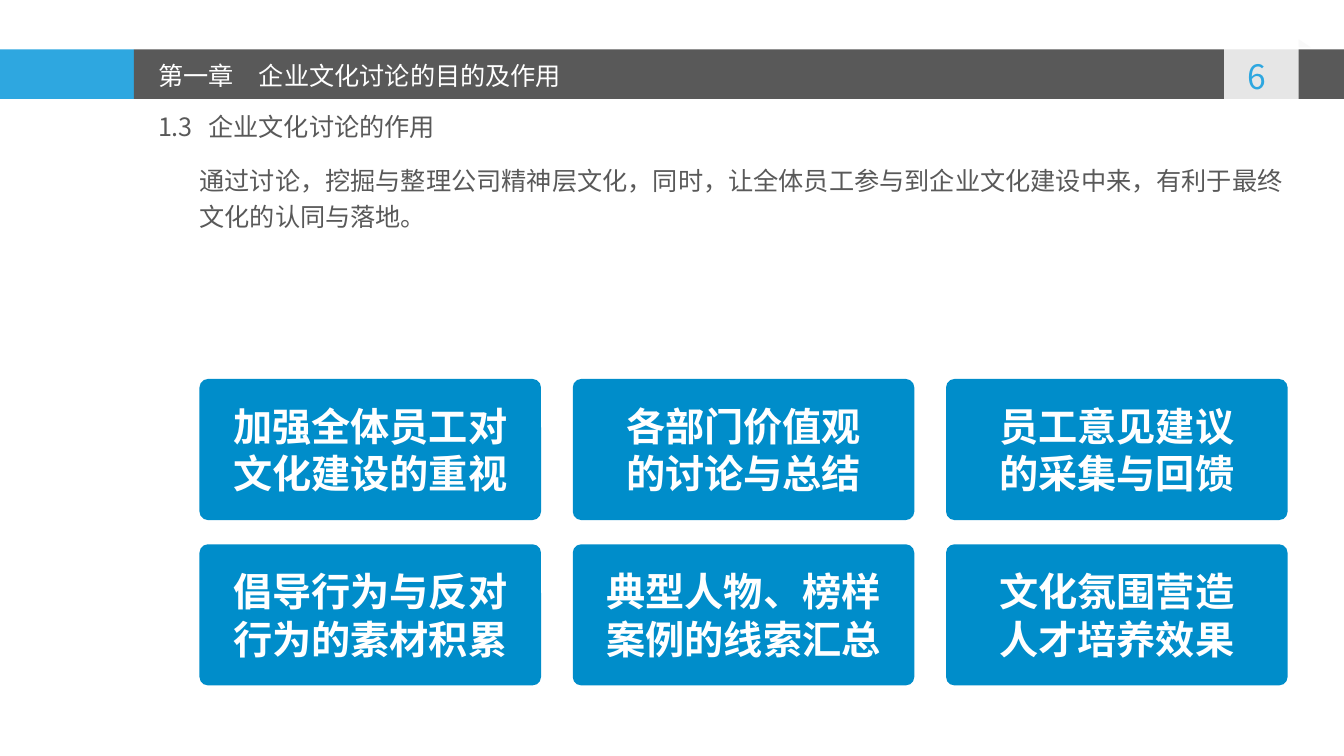
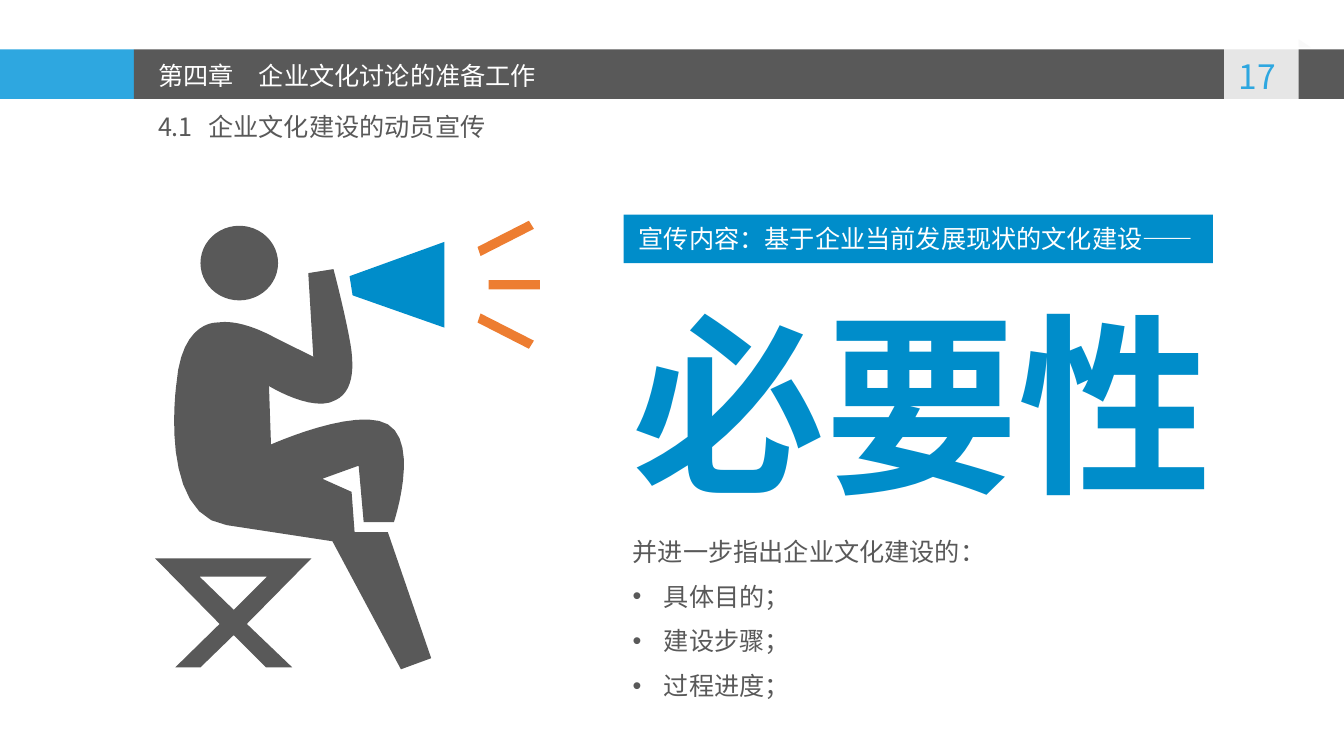
"""Build two training slides about company culture discussions."""
from dataclasses import dataclass
from typing import Any, Optional

import lxml.etree
import pptx
import pptx.dml.color
import pptx.enum.shapes
import pptx.enum.text
import pptx.oxml.ns
import pptx.util

Inches = pptx.util.Inches
Shape = pptx.enum.shapes.MSO_SHAPE
Align = pptx.enum.text.PP_ALIGN
Anchor = pptx.enum.text.MSO_ANCHOR
qn = pptx.oxml.ns.qn
Point = tuple[float, ...]


@dataclass(frozen=True)
class Theme:
    font: str = "Noto Sans CJK SC"
    sky: str = "2EA7E0"
    blue: str = "008DCA"
    gray: str = "595959"
    pale: str = "F8F8F8"
    white: str = "FFFFFF"
    orange: str = "ED7D31"
    text_size: float = 18
    number_size: float = 24
    tile_size: float = 28
    slogan_size: float = 138


@dataclass(frozen=True)
class Area:
    left: float
    top: float
    width: float
    height: float

    def lengths(self) -> tuple[int, ...]:
        return tuple(Inches(v) for v in (self.left, self.top, self.width, self.height))


@dataclass(frozen=True)
class Tile:
    text: str
    line_length: int


@dataclass(frozen=True)
class Heading:
    chapter: str
    section: str
    number: str


THEME = Theme()
BAND_TOP, BAND_HEIGHT = 0.49, 0.49
TILES = (
    Tile("加强全体员工对文化建设的重视", 7),
    Tile("各部门价值观的讨论与总结", 6),
    Tile("员工意见建议的采集与回馈", 6),
    Tile("倡导行为与反对行为的素材积累", 7),
    Tile("典型人物、榜样案例的线索汇总", 7),
    Tile("文化氛围营造\n人才培养效果", 6),
)
STOOL = (
    ((2.32, 6.3), (1.99, 6.62), (1.74, 6.62), (2.18, 6.19), (1.54, 5.54),
     (3.09, 5.54), (2.45, 6.19), (2.9, 6.62), (2.64, 6.62)),
    ((2.65, 5.72), (1.98, 5.72), (2.32, 6.05)),
)
BODY = (
    (1.75, 3.82), (1.8, 3.16, 2.17, 3.2, 2.17, 3.2), (2.17, 3.2, 2.36, 3.15, 2.73, 3.35),
    (3.11, 3.54), (3.06, 2.71), (3.31, 2.67), (3.31, 2.67, 3.42, 3.08, 3.48, 3.42),
    (3.52, 3.67, 3.5, 3.89, 3.33, 3.97), (3.11, 4.1, 2.67, 3.83, 2.67, 3.83),
    (2.69, 4.41), (2.69, 4.41, 3.54, 4.03, 3.85, 4.21), (4.17, 4.4, 3.91, 5.18, 3.91, 5.18),
    (3.61, 5.18), (3.56, 4.62), (3.2, 4.75), (3.49, 4.88), (3.52, 5.28), (3.85, 5.28),
    (4.28, 6.53), (3.98, 6.64), (3.3, 5.37), (2.25, 5.21), (1.57, 5.11, 1.75, 3.82, 1.75, 3.82),
)
MEGAPHONE = ((4.41, 2.4), (4.41, 3.25), (3.5, 2.93), (3.47, 2.74))
RAY = ((5.3, 2.27), (4.77, 2.54), (4.74, 2.45), (5.25, 2.19))
RAY_AXIS = 2.825


def rgb(color: str) -> pptx.dml.color.RGBColor:
    return pptx.dml.color.RGBColor.from_string(color)


def write(box: Any, text: str, *, size: float = THEME.text_size, color: str = THEME.gray,
          bold: bool = False, align: Align = Align.LEFT, anchor: Anchor = Anchor.TOP,
          side: float = 0.1, spacing: float = 1, before: float = 0,
          tab: Optional[float] = None, bullets_from: Optional[int] = None) -> None:
    frame = box.text_frame
    frame.text = text
    frame.word_wrap = True
    frame.auto_size = pptx.enum.text.MSO_AUTO_SIZE.NONE
    frame.vertical_anchor = anchor
    frame.margin_left = frame.margin_right = Inches(side)
    frame.margin_top = frame.margin_bottom = Inches(0.05)
    for index, para in enumerate(frame.paragraphs):
        bulleted = bullets_from is not None and index >= bullets_from
        indent = Inches(0.31) if bulleted else 0
        properties = para._p.get_or_add_pPr()
        properties.set("marL", str(indent))
        properties.set("indent", str(-indent))
        if bulleted:
            lxml.etree.SubElement(properties, qn("a:buChar")).set("char", "•")
        else:
            lxml.etree.SubElement(properties, qn("a:buNone"))
        if tab is not None:
            stops = lxml.etree.SubElement(properties, qn("a:tabLst"))
            stop = lxml.etree.SubElement(stops, qn("a:tab"))
            stop.set("pos", str(Inches(tab)))
            stop.set("algn", "l")
        para.alignment = align
        para.line_spacing = spacing
        para.space_before = pptx.util.Pt(before if index else 0)
        para.space_after = pptx.util.Pt(0)
        for span in para.runs:
            span.font.name = THEME.font
            span.font.size = pptx.util.Pt(size)
            span.font.bold = bold
            span.font.color.rgb = rgb(color)
            east_asian = lxml.etree.SubElement(span._r.get_or_add_rPr(), qn("a:ea"))
            east_asian.set("typeface", THEME.font)


def add_text(page: Any, area: Area, text: str, **style: Any) -> None:
    write(page.shapes.add_textbox(*area.lengths()), text, **style)


def fill_placeholder(box: Any, area: Area, text: str, **style: Any) -> None:
    box.left, box.top, box.width, box.height = area.lengths()
    write(box, text, **style)


def paint(shape: Any, color: str, opacity: int = 100) -> Any:
    shape.shadow.inherit = False
    shape.fill.solid()
    shape.fill.fore_color.rgb = rgb(color)
    shape.line.fill.background()
    if opacity < 100:
        tint = next(shape.element.spPr.iter(qn("a:srgbClr")))
        lxml.etree.SubElement(tint, qn("a:alpha")).set("val", str(opacity * 1000))
    return shape


def add_block(page: Any, kind: Shape, area: Area, color: str, opacity: int = 100) -> Any:
    return paint(page.shapes.add_shape(kind, *area.lengths()), color, opacity)


def flatten(outline: tuple[Point, ...], steps: int = 12) -> list[tuple[int, int]]:
    """Turn corner points and cubic curves into a list of corner points."""
    points = [outline[0]]
    for piece in outline[1:]:
        if len(piece) == 2:
            points.append(piece)
            continue
        nodes = (points[-1], piece[:2], piece[2:4], piece[4:])
        for step in range(1, steps + 1):
            t = step / steps
            weights = ((1 - t) ** 3, 3 * t * (1 - t) ** 2, 3 * t * t * (1 - t), t ** 3)
            points.append(tuple(sum(w * node[axis] for w, node in zip(weights, nodes))
                                for axis in (0, 1)))
    return [(Inches(x), Inches(y)) for x, y in points]


def add_outline(page: Any, color: str, *outlines: tuple[Point, ...], opacity: int = 100) -> Any:
    first, *holes = [flatten(outline) for outline in outlines]
    builder = page.shapes.build_freeform(*first[0])
    builder.add_line_segments(first[1:], close=True)
    for hole in holes:
        builder.move_to(*hole[0])
        builder.add_line_segments(hole[1:], close=True)
    return paint(builder.convert_to_shape(), color, opacity)


def add_band(page: Any, layout: Any) -> None:
    """Draw the header band and hand it over to the layout."""
    tab_outline = ((12.15, 1.09), (12.15, 0.4), (12.89, 0.4), (12.89, 1.09), (12.51, 1.03))
    parts = (
        add_block(page, Shape.RECTANGLE, Area(0, BAND_TOP, 1.33, BAND_HEIGHT), THEME.sky),
        add_block(page, Shape.RECTANGLE, Area(1.33, BAND_TOP, 12.01, BAND_HEIGHT), THEME.gray),
        add_block(page, Shape.RIGHT_TRIANGLE, Area(12.89, 0.39, 0.12, 0.08), THEME.pale, 83),
        add_outline(page, THEME.white, tab_outline, opacity=85),
    )
    for part in parts:
        layout.shapes.element.append(part.element)


def add_page(deck: Any, layout: Any, heading: Heading) -> Any:
    page = deck.slides.add_slide(layout)
    fill_placeholder(page.shapes.title, Area(1.47, 0.55, 5.04, 0.4), heading.chapter,
                     color=THEME.white, tab=0.97)
    add_text(page, Area(1.47, 1.06, 5.31, 0.4), heading.section, tab=0.52)
    add_text(page, Area(12.11, 0.51, 0.74, 0.5), heading.number,
             size=THEME.number_size, color=THEME.sky, align=Align.CENTER)
    return page


def add_tiles(page: Any) -> None:
    width, height, columns = 3.39, 1.4, 3
    for index, tile in enumerate(TILES):
        row, column = divmod(index, columns)
        area = Area(1.98 + column * 3.705, 3.76 + row * 1.64, width, height)
        box = add_block(page, Shape.ROUNDED_RECTANGLE, area, THEME.blue)
        box.adjustments[0] = 0.06
        text_width = (tile.line_length + 0.5) * THEME.tile_size / 72
        write(box, tile.text, size=THEME.tile_size, color=THEME.white, bold=True,
              align=Align.CENTER, anchor=Anchor.MIDDLE, side=(width - text_width) / 2)


def add_speaker(page: Any) -> None:
    add_outline(page, THEME.gray, *STOOL)
    add_block(page, Shape.OVAL, Area(1.99, 2.24, 0.77, 0.74), THEME.gray)
    add_outline(page, THEME.gray, BODY)
    add_outline(page, THEME.blue, MEGAPHONE)
    add_outline(page, THEME.orange, RAY)
    add_block(page, Shape.RECTANGLE, Area(4.85, 2.78, 0.51, 0.09), THEME.orange)
    add_outline(page, THEME.orange, tuple((x, 2 * RAY_AXIS - y) for x, y in RAY))


def build_purpose(deck: Any, layout: Any) -> Any:
    page = add_page(deck, layout, Heading("第一章\t企业文化讨论的目的及作用",
                                          "1.3\t企业文化讨论的作用", "6"))
    fill_placeholder(page.placeholders[1], Area(1.88, 1.53, 11.01, 0.82),
                     "通过讨论，挖掘与整理公司精神层文化，同时，让全体员工参与到企业文化建设中来，"
                     "有利于最终文化的认同与落地。", spacing=1.2)
    add_tiles(page)
    return page


def build_campaign(deck: Any, layout: Any) -> None:
    page = add_page(deck, layout, Heading("第四章\t企业文化讨论的准备工作",
                                          "4.1\t企业文化建设的动员宣传", "17"))
    add_speaker(page)
    banner = add_block(page, Shape.RECTANGLE, Area(6.19, 2.13, 5.85, 0.48), THEME.blue)
    write(banner, "宣传内容：基于企业当前发展现状的文化建设——", color=THEME.white,
          anchor=Anchor.MIDDLE, side=0.15)
    add_text(page, Area(6.18, 2.78, 6.1, 2.4), "必要性",
             size=THEME.slogan_size, color=THEME.blue, bold=True)
    fill_placeholder(page.placeholders[1], Area(6.18, 5.21, 6.48, 1.79),
                     "并进一步指出企业文化建设的：\n具体目的；\n建设步骤；\n过程进度；",
                     spacing=1.2, before=6, bullets_from=1)


def main() -> None:
    deck = pptx.Presentation()
    deck.slide_width, deck.slide_height = Inches(13.34), Inches(7.5)
    layout = deck.slide_layouts[1]
    add_band(build_purpose(deck, layout), layout)
    build_campaign(deck, layout)
    deck.save("out.pptx")


if __name__ == "__main__":
    main()
